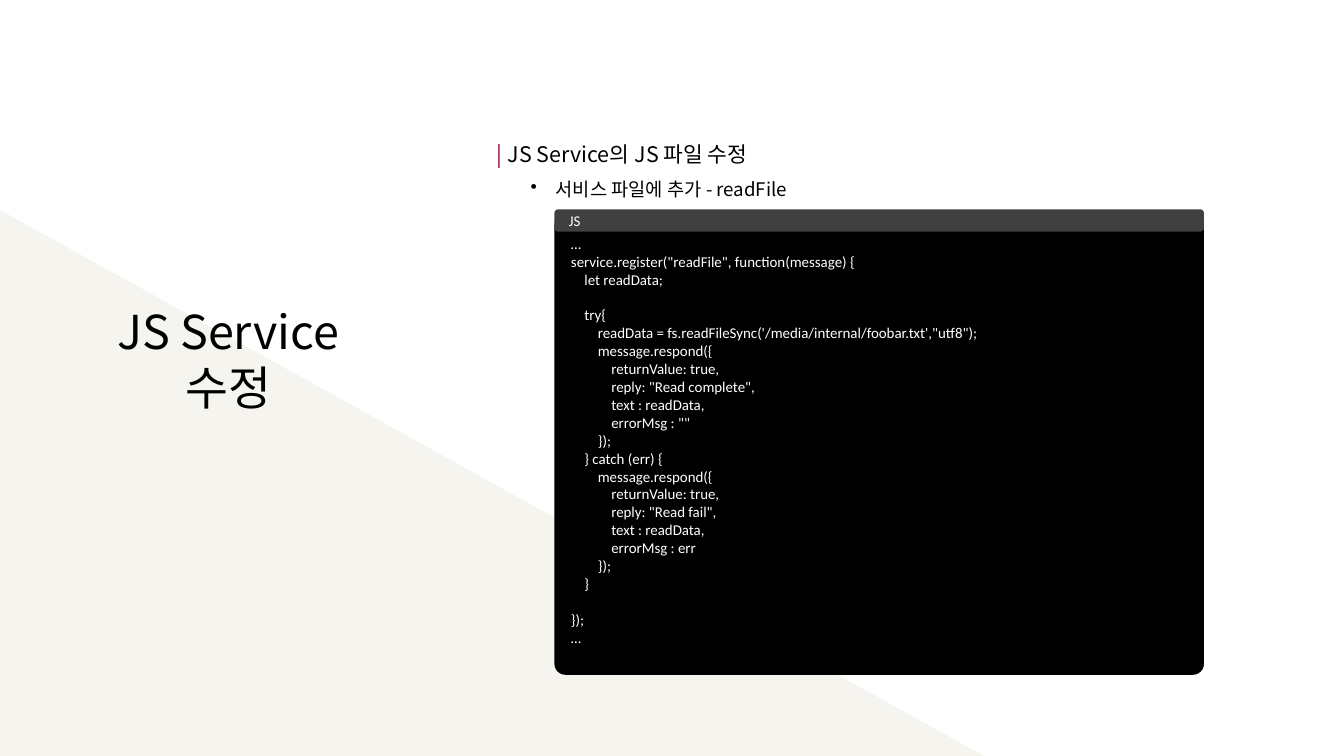
from dataclasses import dataclass

from lxml.etree import SubElement as Sub
from pptx import Presentation
from pptx.dml.color import RGBColor as RGB
from pptx.enum.shapes import MSO_SHAPE as Kind
from pptx.enum.text import MSO_ANCHOR as Anchor, MSO_AUTO_SIZE as Fit, PP_ALIGN as Align
from pptx.oxml.ns import qn
from pptx.util import Pt

PX = 9525


@dataclass(frozen=True)
class Theme:
    sans: str = "Noto Sans CJK KR"
    mono: str = "Calibri"
    ink: str = "000000"
    paper: str = "FFFFFF"
    sand: str = "F6F4EF"
    rose: str = "A50034"
    slate: str = "404040"
    title: int = 50
    head: int = 23
    item: int = 20
    code: int = 16


CODE = """…
service.register("readFile", function(message) {
    let readData;

    try{
        readData = fs.readFileSync('/media/internal/foobar.txt',"utf8");
        message.respond({
            returnValue: true,
            reply: "Read complete",
            text : readData,
            errorMsg : ""
        });
    } catch (err) {
        message.respond({
            returnValue: true,
            reply: "Read fail",
            text : readData,
            errorMsg : err
        });
    }

});
…"""


class Deck:
    def __init__(self, theme, wide, high):
        self.theme = theme
        self.file = Presentation()
        self.file.slide_width = wide * PX
        self.file.slide_height = high * PX
        self.slide = self.file.slides.add_slide(self.file.slide_layouts[5])

    def frame(self, shape, anchor=Anchor.TOP, pad=(10, 5, 10, 5)):
        frame = shape.text_frame
        left, top, right, base = (n * PX for n in pad)
        form = dict(word_wrap=True, auto_size=Fit.NONE, vertical_anchor=anchor,
                    margin_left=left, margin_top=top,
                    margin_right=right, margin_bottom=base)
        for key, value in form.items():
            setattr(frame, key, value)
        return frame

    def para(self, frame, first, runs, size, face, align=Align.LEFT, lead=None, dot=None):
        para = frame.paragraphs[0] if first else frame.add_paragraph()
        form = dict(alignment=align, space_before=Pt(0), line_spacing=lead)
        for key, value in form.items():
            setattr(para, key, value)
        if dot:
            props = para._p.get_or_add_pPr()
            props.set("marL", str(84 * PX))
            props.set("indent", str(-36 * PX))
            Sub(props, qn("a:buChar"), char=dot)
        para.font.size = Pt(size)
        for text, color in runs:
            run = para.add_run()
            run.text = text
            run.font.size = Pt(size)
            run.font.name = face
            run.font.color.rgb = RGB.from_string(color)
            Sub(run._r.get_or_add_rPr(), qn("a:ea"), typeface=face)

    def shape(self, home, kind, box, fill, bend=None):
        shape = home.add_shape(kind, *(n * PX for n in box))
        shape.shadow.inherit = False
        shape.fill.solid()
        shape.fill.fore_color.rgb = RGB.from_string(fill)
        shape.line.fill.background()
        if bend is not None:
            shape.adjustments[0] = bend
        return shape

    def wedge(self, box):
        shapes = self.slide.shapes
        wedge = self.shape(shapes, Kind.ISOSCELES_TRIANGLE, box, self.theme.sand, 0)
        shapes.title._element.addprevious(wedge._element)

    def title(self, box, lines):
        title = self.slide.shapes.title
        for key, value in zip(("left", "top", "width", "height"), box):
            setattr(title, key, value * PX)
        frame = self.frame(title)
        for i, line in enumerate(lines):
            self.para(frame, i == 0, [(line, self.theme.ink)], self.theme.title,
                      self.theme.sans, Align.CENTER, Pt(60))

    def body(self, box, head, items):
        t = self.theme
        frame = self.frame(self.slide.shapes.add_textbox(*(n * PX for n in box)))
        self.para(frame, True, [("| ", t.rose), (head, t.ink)], t.head, t.sans, lead=Pt(28))
        for item in items:
            self.para(frame, False, [(item, t.ink)], t.item, t.sans, lead=Pt(36), dot="•")

    def code(self, box, bar, label, text):
        t = self.theme
        home = self.slide.shapes.add_group_shape().shapes
        left, top, wide, high = box
        panel = self.shape(home, Kind.ROUNDED_RECTANGLE, box, t.ink, 0.024)
        strip = self.shape(home, Kind.ROUNDED_RECTANGLE, (left, top - 7, wide, bar), t.slate)
        parts = ((panel, text, (19, 37, 10, 49)), (strip, label, (19, 5, 10, 5)))
        for shape, words, pad in parts:
            frame = self.frame(shape, Anchor.MIDDLE, pad)
            for i, line in enumerate(words.split("\n")):
                runs = [(line, t.paper)] if line else []
                self.para(frame, i == 0, runs, t.code, t.mono)


def main():
    deck = Deck(Theme(), 1920, 1080)
    deck.wedge((0, 300, 1406, 780))
    deck.title((110, 428, 432, 171), ["JS Service", "수정"])
    deck.body((700, 196, 1004, 95), "JS Service의 JS 파일 수정",
              ["서비스 파일에 추가 - readFile"])
    deck.code((792, 306, 928, 658), 32, "JS", CODE)
    deck.file.save("out.pptx")


if __name__ == "__main__":
    main()
